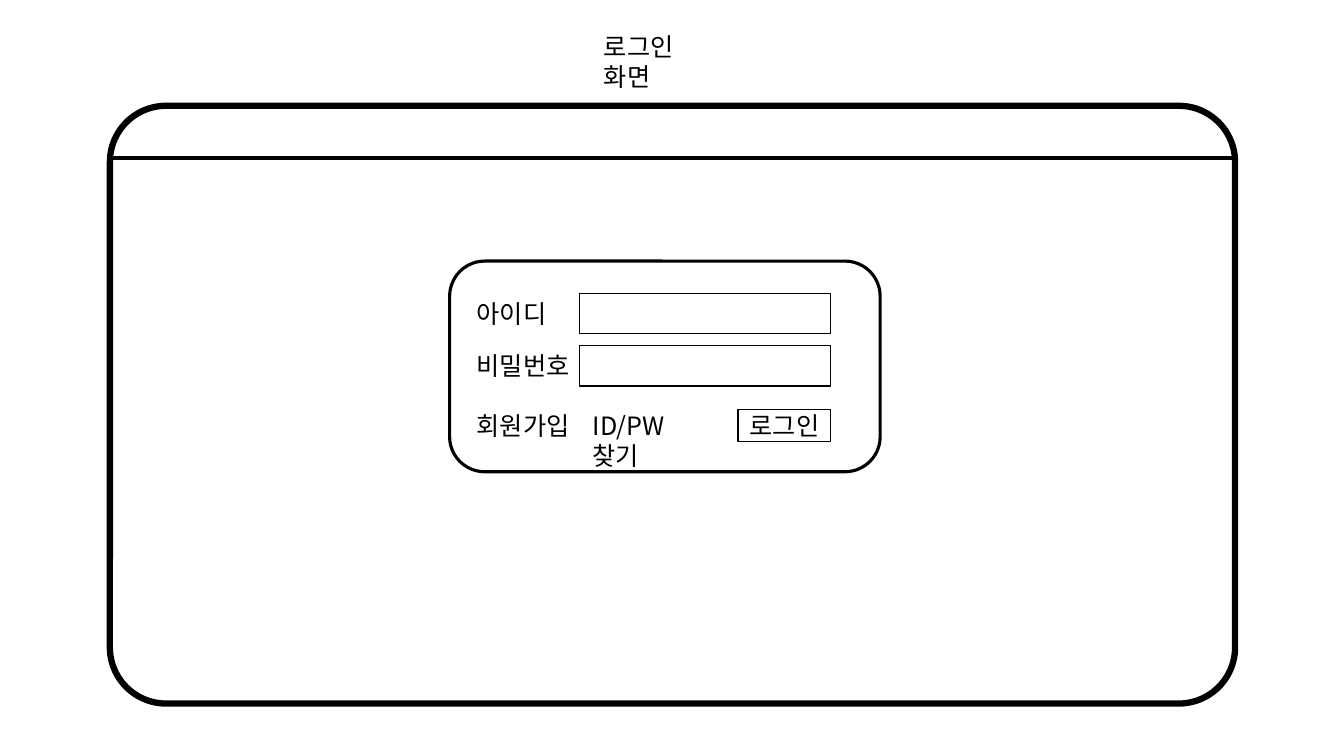
import pptx
import pptx.util
import pptx.dml.color
import pptx.enum.shapes
import pptx.enum.text
import pptx.oxml.ns
import lxml.etree

Inches = pptx.util.Inches
Kind = pptx.enum.shapes.MSO_SHAPE
Align = pptx.enum.text.PP_ALIGN
Anchor = pptx.enum.text.MSO_ANCHOR
COLORS = {"ink": "000000"}
FONT = "Noto Sans CJK KR"


def ink():
    """Return the drawing colour."""
    return pptx.dml.color.RGBColor.from_string(COLORS["ink"])


def apply(item, form):
    """Set attributes from a dict of format values."""
    for name, value in form.items():
        setattr(item, name, value)


def write(shape, text, align=Align.LEFT, anchor=Anchor.TOP, wrap=False, right=0.1):
    """Put one styled paragraph into a shape."""
    frame = shape.text_frame
    apply(frame, {"word_wrap": wrap, "vertical_anchor": anchor,
                  "auto_size": pptx.enum.text.MSO_AUTO_SIZE.NONE,
                  "margin_left": Inches(0.1), "margin_right": Inches(right),
                  "margin_top": Inches(0.05), "margin_bottom": Inches(0.05)})
    para = frame.paragraphs[0]
    apply(para, {"alignment": align, "line_spacing": 1.0})
    run = para.add_run()
    run.text = text
    apply(run.font, {"name": FONT, "size": pptx.util.Pt(18)})
    run.font.color.rgb = ink()
    east = lxml.etree.SubElement(run.font._element, pptx.oxml.ns.qn("a:ea"))
    east.set("typeface", FONT)


def label(slide, text, left, top, width, **form):
    """Add a text label of standard height."""
    box = slide.shapes.add_textbox(*map(Inches, (left, top, width, 0.4)))
    write(box, text, **form)


def frame(slide, kind, box, weight):
    """Add an unfilled outline shape."""
    shape = slide.shapes.add_shape(kind, *map(Inches, box))
    shape.shadow.inherit = False
    shape.fill.background()
    shape.line.color.rgb = ink()
    shape.line.width = pptx.util.Pt(weight)
    return shape


def head(slide, left, top, width, height):
    """Place the slide title."""
    title = slide.shapes.title
    apply(title, dict(zip(("left", "top", "width", "height"),
                          map(Inches, (left, top, width, height)))))
    write(title, "로그인 화면", wrap=True, right=0.2)


def window(slide, left, top, width, height):
    """Draw the browser window with its top bar."""
    shell = frame(slide, Kind.ROUNDED_RECTANGLE, (left, top, width, height), 4.5)
    shell.adjustments[0] = 0.094
    bar = top + 0.52
    rule = slide.shapes.add_connector(
        pptx.enum.shapes.MSO_CONNECTOR.STRAIGHT,
        *map(Inches, (left, bar, left + width, bar)))
    rule.line.color.rgb = ink()
    rule.line.width = pptx.util.Pt(3)
    lxml.etree.SubElement(rule._element.spPr, pptx.oxml.ns.qn("a:effectLst"))


def login(slide, left, top, width, height):
    """Draw the login panel with fields, links and button."""
    frame(slide, Kind.ROUNDED_RECTANGLE, (left, top, width, height), 2.25)
    for row, (text, wide) in enumerate((("아이디", 0.89), ("비밀번호", 1.12))):
        y = top + 0.32 + row * 0.52
        label(slide, text, left + 0.17, y, wide)
        frame(slide, Kind.RECTANGLE, (left + 1.29, y, 2.49, 0.4), 1)
    y = top + 1.43
    label(slide, "회원가입", left + 0.17, y, 1.12)
    label(slide, "ID/PW 찾기", left + 1.32, y, 1.44, wrap=True, right=0.2)
    button = frame(slide, Kind.RECTANGLE, (left + 2.86, y + 0.04, 0.92, 0.32), 1)
    write(button, "로그인", Align.CENTER, Anchor.MIDDLE)


def main():
    """Build and save the login screen slide."""
    deck = pptx.Presentation()
    apply(deck, {"slide_width": Inches(13.33), "slide_height": Inches(7.5)})
    slide = deck.slides.add_slide(deck.slide_layouts[5])
    head(slide, 5.89, 0.26, 1.41, 0.4)
    window(slide, 1.09, 1.05, 11.16, 5.93)
    login(slide, 4.46, 2.59, 4.27, 2.09)
    deck.save("out.pptx")


if __name__ == "__main__":
    main()
